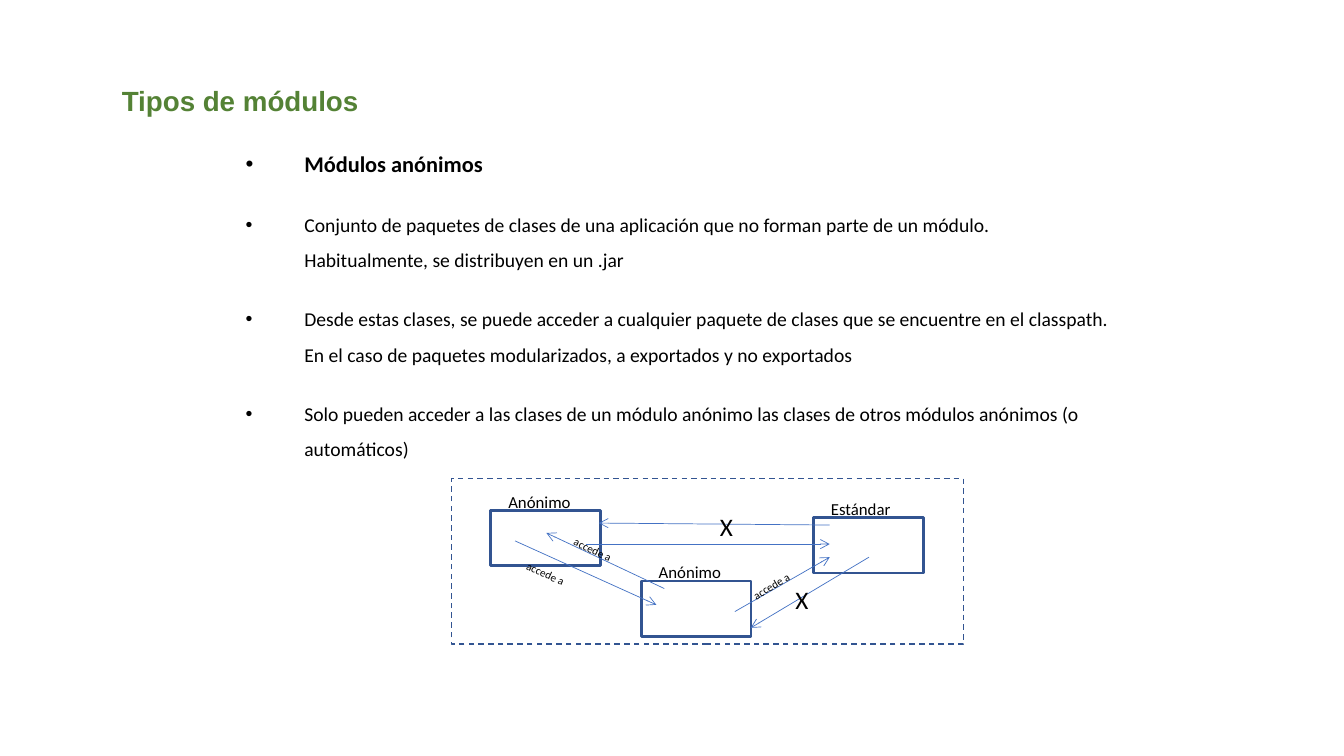
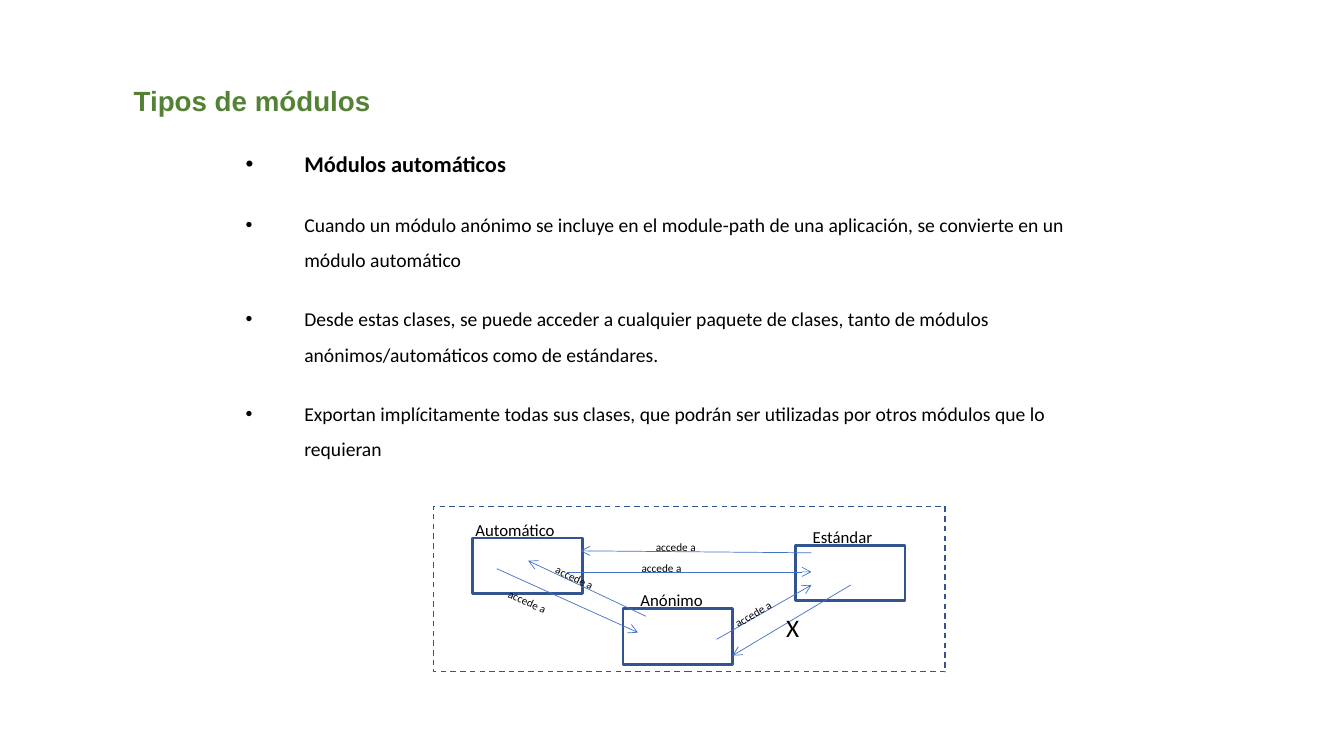
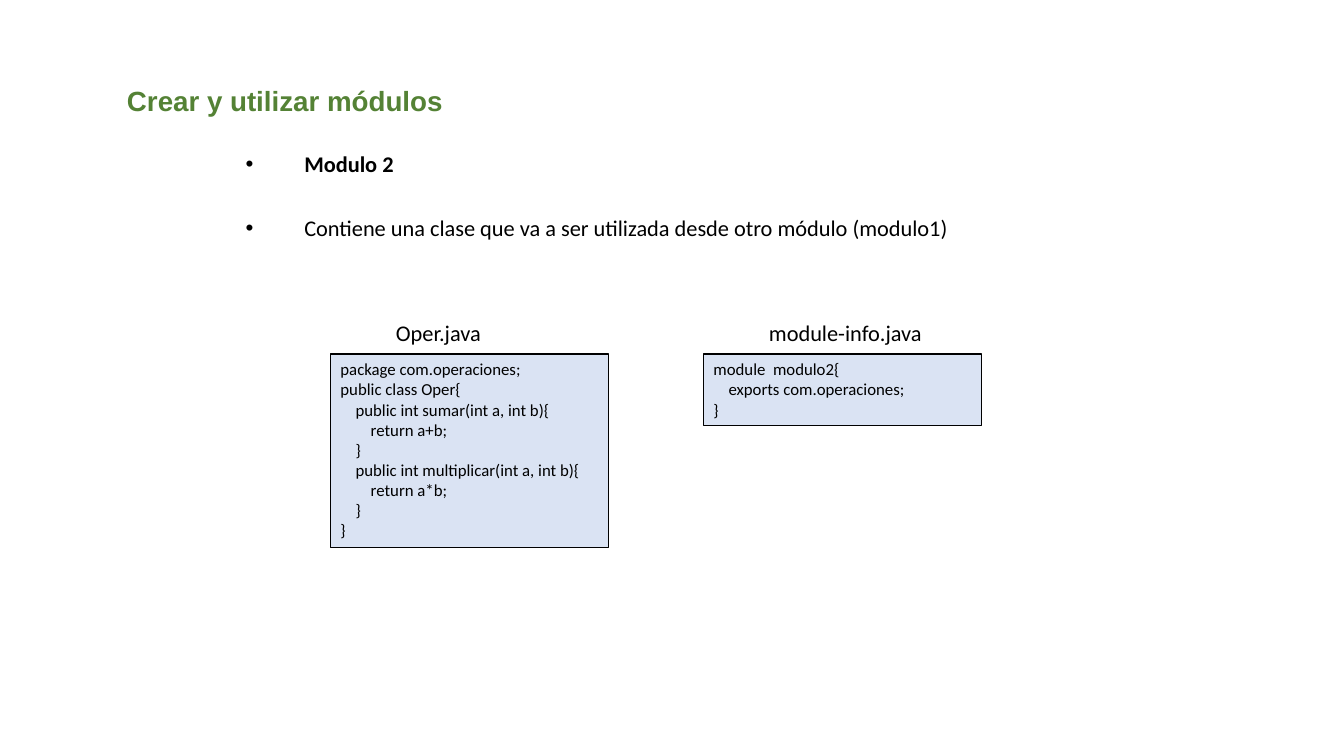
from lxml import etree
from pptx import Presentation
from pptx import util as u
from pptx.dml.color import RGBColor
from pptx.enum import dml, shapes, text
from pptx.oxml import ns

HUES = {"title": "548235", "ink": "000000", "edge": "325491",
        "arrow": "4472C4", "code": "DAE3F3"}

NODES = [(0.99, 0.8), (4.78, 2.58), (9.12, 0.98)]
ARROWS = [
    (1.6, 1.57, 5.16, 3.18),
    (5.36, 2.77, 2.39, 1.37),
    (3.38, 1.65, 9.53, 1.65),
    (7.14, 3.35, 9.53, 1.98),
    (9.53, 1.17, 3.71, 1.12),
    (10.52, 1.98, 7.54, 3.76),
]
TAGS = [(1.6, 2.16, 24.6), (2.79, 1.55, 25.4), (7.29, 2.34, -31.1)]

OPER = """package com.operaciones;
public class Oper{
    public int sumar(int a, int b){
        return a+b;
    }
    public int multiplicar(int a, int b){
        return a*b;
    }
}"""
INFO = """module  modulo2{
    exports com.operaciones;
}"""


def hue(name):
    return RGBColor.from_string(HUES[name])


def cm(*nums):
    return [u.Cm(n) for n in nums]


def node(parent, tag, **attrs):
    return etree.SubElement(parent, ns.qn(tag), **attrs)


def write(par, words, size=12, font="Calibri", color="ink", bold=False,
          align=text.PP_ALIGN.LEFT):
    par.alignment = align
    run = par.add_run()
    run.text = words
    run.font.size = u.Pt(size)
    run.font.name = font
    run.font.bold = bold
    run.font.color.rgb = hue(color)


def label(slide, words, x, y, w, h, turn=0, **style):
    box = slide.shapes.add_textbox(*cm(x, y, w, h))
    box.rotation = turn
    box.text_frame.word_wrap = True
    write(box.text_frame.paragraphs[0], words, **style)
    return box


def rect(slide, x, y, w, h, edge="edge", width=1, fill=None, dash=False):
    box = slide.shapes.add_shape(shapes.MSO_SHAPE.RECTANGLE, *cm(x, y, w, h))
    box.shadow.inherit = False
    if fill:
        box.fill.solid()
        box.fill.fore_color.rgb = hue(fill)
    else:
        box.fill.background()
    box.line.color.rgb = hue(edge)
    box.line.width = u.Pt(width)
    if dash:
        box.line.dash_style = dml.MSO_LINE.DASH
    return box


def arrow(slide, *ends):
    line = slide.shapes.add_connector(shapes.MSO_CONNECTOR.STRAIGHT, *cm(*ends))
    line.line.color.rgb = hue("arrow")
    line.line.width = u.Pt(0.5)
    node(line.line._get_or_add_ln(), "a:tailEnd", type="arrow")
    node(line._element.spPr, "a:effectLst")


def bullets(slide, head, items, size):
    frame = slide.shapes.add_textbox(*cm(5.94, 3.33, 22.33, 13.79)).text_frame
    frame.word_wrap = True
    for i, words in enumerate([head] + items):
        par = frame.add_paragraph() if i else frame.paragraphs[0]
        par.line_spacing = 1.5
        par.space_before = u.Pt(5 if i else 0)
        par.space_after = u.Pt(12)
        props = par._p.get_or_add_pPr()
        props.set("marL", str(u.Cm(1.48)))
        props.set("indent", str(-u.Cm(1.48)))
        node(node(props, "a:buClr"), "a:srgbClr", val=HUES["ink"])
        node(props, "a:buFont", typeface="Arial")
        node(props, "a:buChar", char="•")
        write(par, words, size=size if i else 16, bold=not i)


def page(deck, title, left, head, items, size=14):
    slide = deck.slides.add_slide(deck.slide_layouts[6])
    box = label(slide, title, left, 1.9, 25.4, 1.27, size=19.8, font="Arial",
                color="title", bold=True)
    box.text_frame.vertical_anchor = text.MSO_ANCHOR.MIDDLE
    bullets(slide, head, items, size)
    return slide


def diagram(slide, x, y, first, shift, wide, tags, marks):
    rect(slide, x, y, 12.9, 4.17, dash=True)
    names = [(first, shift, wide), ("Anónimo", 0.19, 2.39),
             ("Estándar", 0.19, 2.39)]
    for (dx, dy), (name, gap, w) in zip(NODES, names):
        rect(slide, x + dx, y + dy, 2.77, 1.4, width=2)
        label(slide, name, x + dx + gap, y + dy - 0.6, w, 0.76)
    for x1, y1, x2, y2 in ARROWS:
        arrow(slide, x + x1, y + y1, x + x2, y + y2)
    for dx, dy, turn in TAGS + tags:
        label(slide, "accede a", x + dx, y + dy, 1.78, 0.61, turn, size=8)
    for dx, dy in marks:
        label(slide, "X", x + dx, y + dy, 1, 1.02, size=18,
              align=text.PP_ALIGN.CENTER)


def code(slide, x, name, wide, body, high):
    label(slide, name, x + 1.4, 7.92, wide, 0.94, size=16)
    box = rect(slide, x, 8.92, 7.01, high, edge="ink", fill="code")
    frame = box.text_frame
    frame.vertical_anchor = text.MSO_ANCHOR.TOP
    for i, row in enumerate(body.split("\n")):
        write(frame.add_paragraph() if i else frame.paragraphs[0], row)


def main():
    deck = Presentation()
    deck.slide_width, deck.slide_height = cm(33.87, 19.05)

    slide = page(deck, "Tipos de módulos", 2.82, "Módulos anónimos", [
        "Conjunto de paquetes de clases de una aplicación que no forman parte "
        "de un módulo. Habitualmente, se distribuyen en un .jar",
        "Desde estas clases, se puede acceder a cualquier paquete de clases "
        "que se encuentre en el classpath. En el caso de paquetes "
        "modularizados, a exportados y no exportados",
        "Solo pueden acceder a las clases de un módulo anónimo las clases de "
        "otros módulos anónimos (o automáticos)",
    ])
    diagram(slide, 11.38, 12.06, "Anónimo", 0.19, 2.39, [],
            [(6.43, 0.71), (8.33, 2.54)])

    slide = page(deck, "Tipos de módulos", 3.12, "Módulos automáticos", [
        "Cuando un módulo anónimo se incluye en el module-path de una "
        "aplicación, se convierte en un módulo automático",
        "Desde estas clases, se puede acceder a cualquier paquete de clases, "
        "tanto de módulos anónimos/automáticos como de estándares.",
        "Exportan implícitamente todas sus clases, que podrán ser utilizadas "
        "por otros módulos que lo requieran",
    ])
    diagram(slide, 10.92, 12.76, "Automático", -0.18, 3.38,
            [(5, 1.27, 0), (5.36, 0.74, 0)], [(8.56, 2.55)])

    slide = page(deck, "Crear y utilizar módulos", 2.95, "Modulo 2", [
        "Contiene una clase que va a ser utilizada desde otro módulo (modulo1)",
    ], size=16)
    code(slide, 8.33, "Oper.java", 4.19, OPER, 4.88)
    code(slide, 17.73, "module-info.java", 6.6, INFO, 1.8)

    deck.save("out.pptx")


if __name__ == "__main__":
    main()
